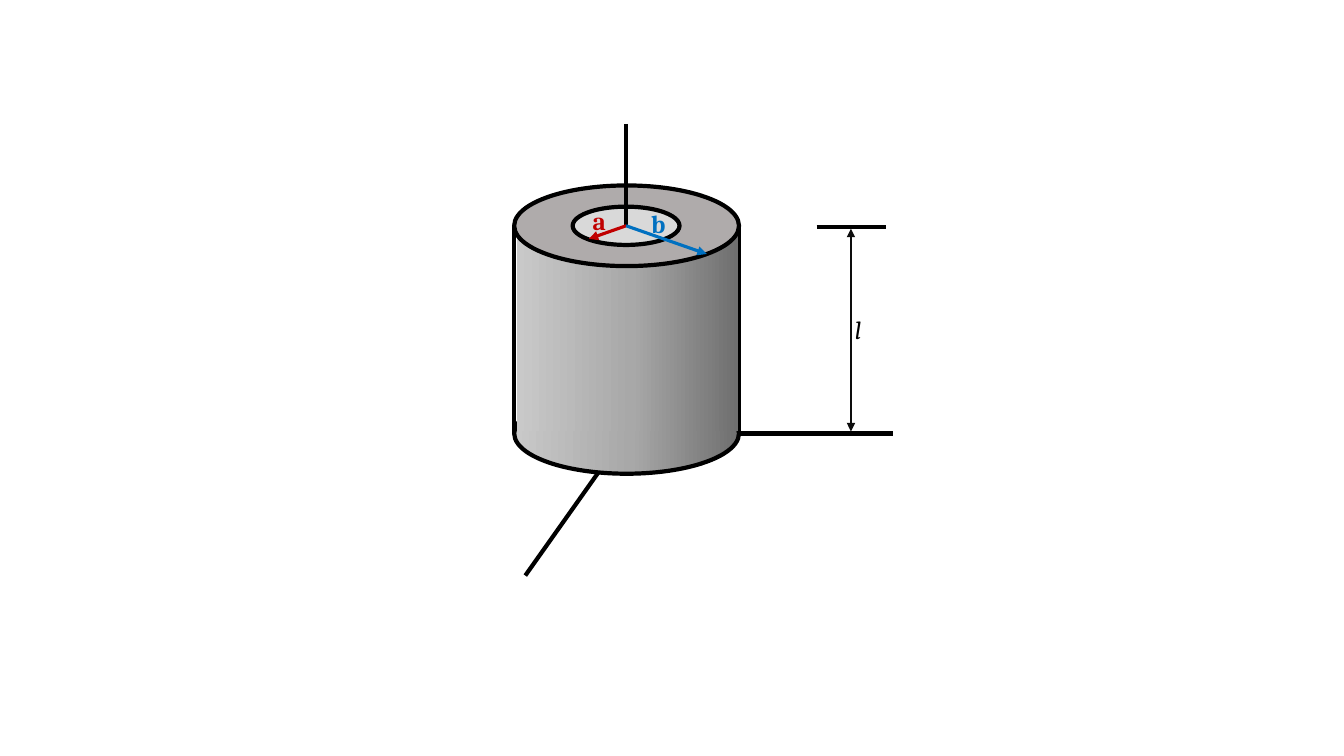
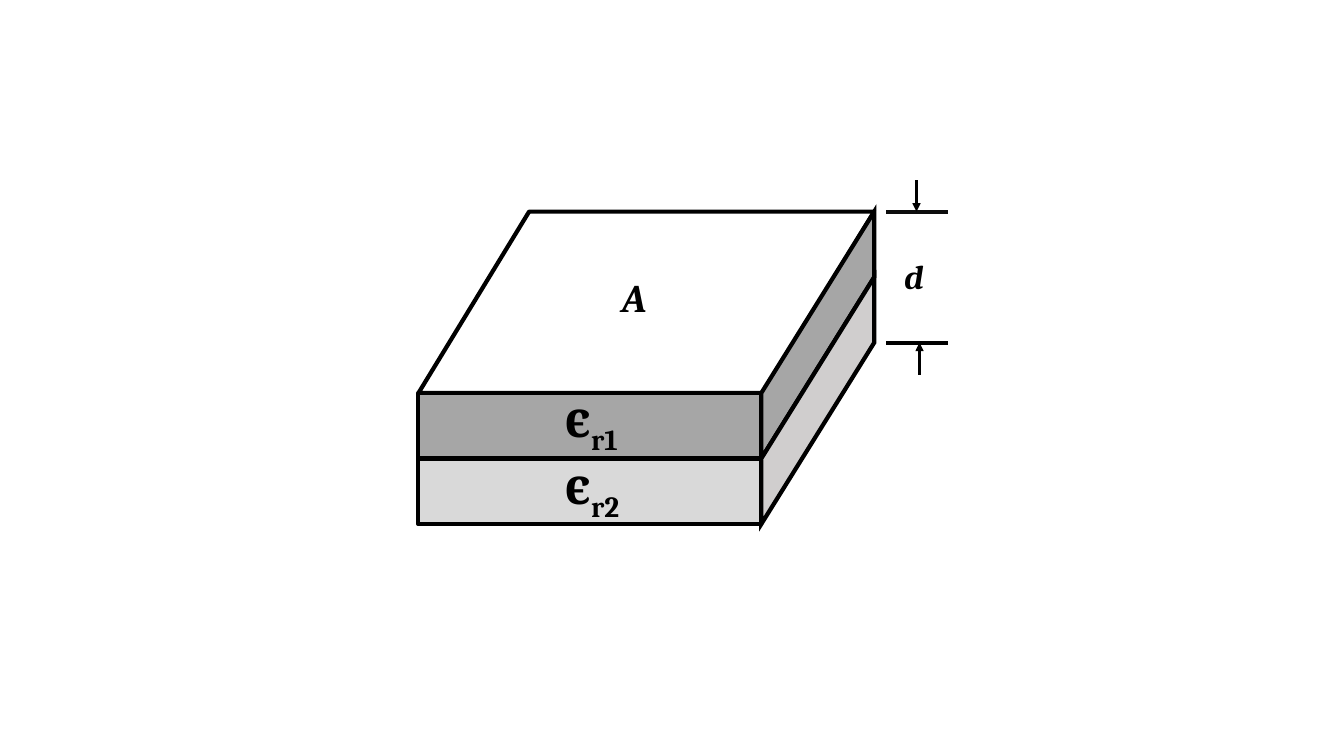
import copy

import pptx
import pptx.dml.color
import pptx.enum.shapes
import pptx.oxml
import pptx.oxml.ns
import pptx.util
from pptx.util import Inches

SHAPE = pptx.enum.shapes.MSO_SHAPE
qn = pptx.oxml.ns.qn
BLACK, INK, RED, BLUE = "000000", "0D0D0D", "C00000", "0070C0"
MID, LIGHT, SIDE, RIM = "A6A6A6", "D9D9D9", "D0CECE", "AFABAB"
METAL = ((0, "6F6F6F"), (0.48, "A8A8A8"), (1, "C9C9C9"))


def rgb(color):
    return pptx.dml.color.RGBColor.from_string(color)


def add_xml(parent, tag, **attrs):
    child = parent.makeelement(qn(tag), attrs)
    parent.append(child)


class Diagram:
    font = "Cambria"
    outline = 3

    def __init__(self, prs):
        self.prs = prs
        self.s = None

    def new_slide(self):
        self.s = self.prs.slides.add_slide(self.prs.slide_layouts[6])

    def paint(self, sp, fill, outlined=True):
        sp.shadow.inherit = False
        if isinstance(fill, str):
            sp.fill.solid()
            sp.fill.fore_color.rgb = rgb(fill)
        else:
            self.gradient(sp, fill)
        if outlined:
            sp.line.color.rgb = rgb(BLACK)
            sp.line.width = pptx.util.Pt(self.outline)
        else:
            sp.line.fill.background()

    def gradient(self, sp, stops):
        sp.fill.gradient()
        sp.fill.gradient_angle = 180
        gs_list = sp._element.spPr.find(".//" + qn("a:gsLst"))
        while len(gs_list) < len(stops):
            gs_list.append(copy.deepcopy(gs_list[0]))
        for stop, (position, color) in zip(sp.fill.gradient_stops, stops):
            stop.position = position
            stop.color.rgb = rgb(color)

    def shape(self, kind, left, top, width, height, fill, outlined=True):
        sp = self.s.shapes.add_shape(
            kind, Inches(left), Inches(top), Inches(width), Inches(height))
        self.paint(sp, fill, outlined)
        return sp

    def polygon(self, points, fill):
        points = [(Inches(x), Inches(y)) for x, y in points]
        builder = self.s.shapes.build_freeform(*points[0])
        builder.add_line_segments(points[1:], close=True)
        sp = builder.convert_to_shape()
        self.paint(sp, fill)
        add_xml(sp.line._get_or_add_ln(), "a:miter", lim="800000")

    def line(self, x1, y1, x2, y2, color=BLACK, width=outline, head=False, tail=False):
        cn = self.s.shapes.add_connector(
            pptx.enum.shapes.MSO_CONNECTOR.STRAIGHT,
            Inches(x1), Inches(y1), Inches(x2), Inches(y2))
        cn.line.color.rgb = rgb(color)
        cn.line.width = pptx.util.Pt(width)
        for wanted, tag in ((head, "a:headEnd"), (tail, "a:tailEnd")):
            if wanted:
                add_xml(cn.line._get_or_add_ln(), tag, type="triangle")
        add_xml(cn._element.spPr, "a:effectLst")

    def label(self, text, left, top, width, height, size,
              color=BLACK, bold=True, italic=False, sub=""):
        box = self.s.shapes.add_textbox(
            Inches(left), Inches(top), Inches(width), Inches(height))
        tf = box.text_frame
        tf.word_wrap = False
        p = tf.paragraphs[0]
        p.text = text
        if sub:
            r = p.add_run()
            r.text = sub
            r.font._element.set("baseline", "-25000")
        for r in p.runs:
            r.font.name = self.font
            r.font.size = pptx.util.Pt(size)
            r.font.bold = bold
            r.font.italic = italic
            r.font.color.rgb = rgb(color)


def cylinder_slide(d):
    d.new_slide()
    left, right, top, bottom = 5.1, 7.33, 2.25, 4.3
    width, depth = right - left, 0.8
    cx, cy = 6.21, 2.24
    d.shape(SHAPE.OVAL, left, bottom - depth / 2, width, depth, METAL)
    for x in (left, right):
        d.line(x, top, x, bottom)
    d.line(right, bottom, 8.86, bottom)
    d.line(5.94, 4.68, 5.21, 5.71)
    d.line(8.1, top, 8.79, top)
    d.line(8.44, 2.27, 8.44, 4.28, INK, 2, head=True, tail=True)
    d.label("l", 8.38, 3.07, 0.27, 0.4, 18, bold=False, italic=True)
    d.shape(SHAPE.RECTANGLE, 5.13, top, 2.19, 2.03, METAL, outlined=False)
    d.shape(SHAPE.OVAL, left, cy - depth / 2, width, depth, RIM)
    d.shape(SHAPE.OVAL, 5.68, 2.05, 1.06, 0.38, LIGHT)
    d.line(cx, 1.23, cx, cy)
    d.line(cx, cy, 5.84, 2.37, RED, 2.25, tail=True)
    d.line(cx, cy, 7.01, 2.52, BLUE, 2.25, tail=True)
    d.label("a", 5.78, 1.99, 0.32, 0.4, 18, RED)
    d.label("b", 6.36, 2.02, 0.34, 0.4, 18, BLUE)


def layers_slide(d):
    d.new_slide()
    left, front, back = 4.15, 7.55, 8.67
    top, rise, layer = 2.1, 1.8, 0.65
    face = d.shape(SHAPE.PARALLELOGRAM, left, top, back - left, rise, "FFFFFF")
    face.adjustments[0] = 0.61
    d.label("A", 6.07, 2.66, 0.69, 0.57, 28, italic=True)
    for i, (front_fill, side_fill) in enumerate(((MID, MID), (LIGHT, SIDE))):
        y = top + i * layer
        d.shape(SHAPE.RECTANGLE, left, y + rise, front - left, layer, front_fill)
        d.polygon([(front, y + rise), (back, y), (back, y + layer),
                   (front, y + rise + layer)], side_fill)
        d.label("ϵ", 5.5, 3.79 + i * 0.67, 0.95, 0.71, 36, sub=f"r{i + 1}")
    base = top + 2 * layer
    d.line(8.79, top, 9.4, top, INK)
    d.line(8.79, base, 9.4, base)
    d.line(9.09, 1.79, 9.09, top, width=2, tail=True)
    d.line(9.12, 3.72, 9.12, base, width=2, tail=True)
    d.label("d", 8.87, 2.49, 0.4, 0.5, 24, italic=True)


def main():
    prs = pptx.Presentation()
    prs.slide_width = Inches(13.33)
    prs.slide_height = Inches(7.5)
    d = Diagram(prs)
    cylinder_slide(d)
    layers_slide(d)
    prs.save("out.pptx")


if __name__ == "__main__":
    main()
